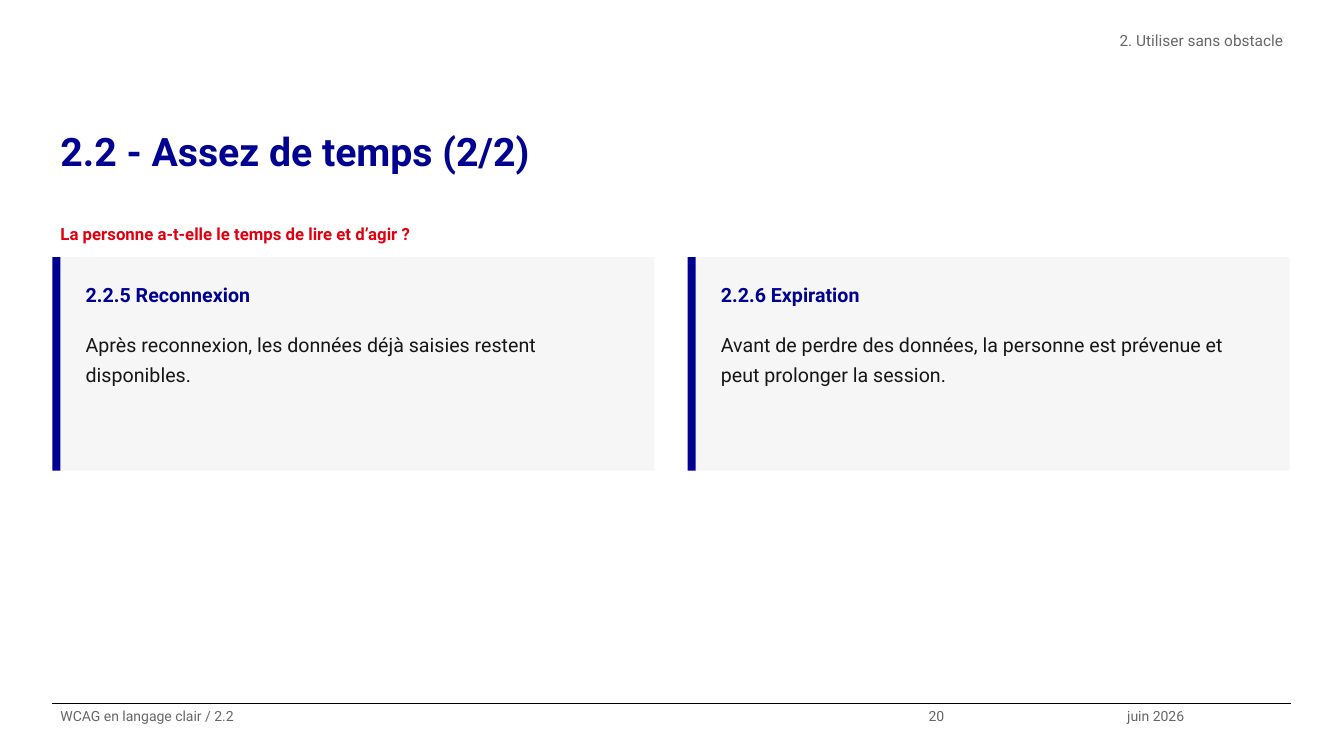
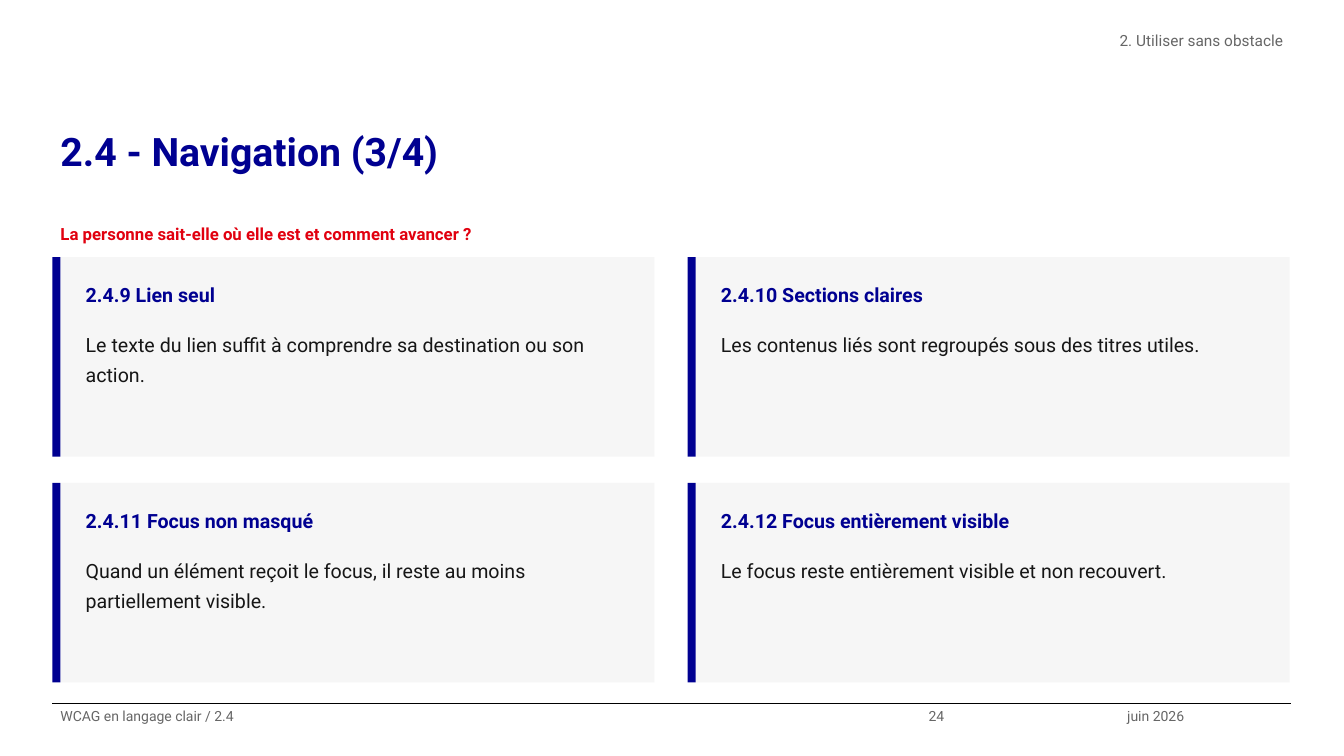
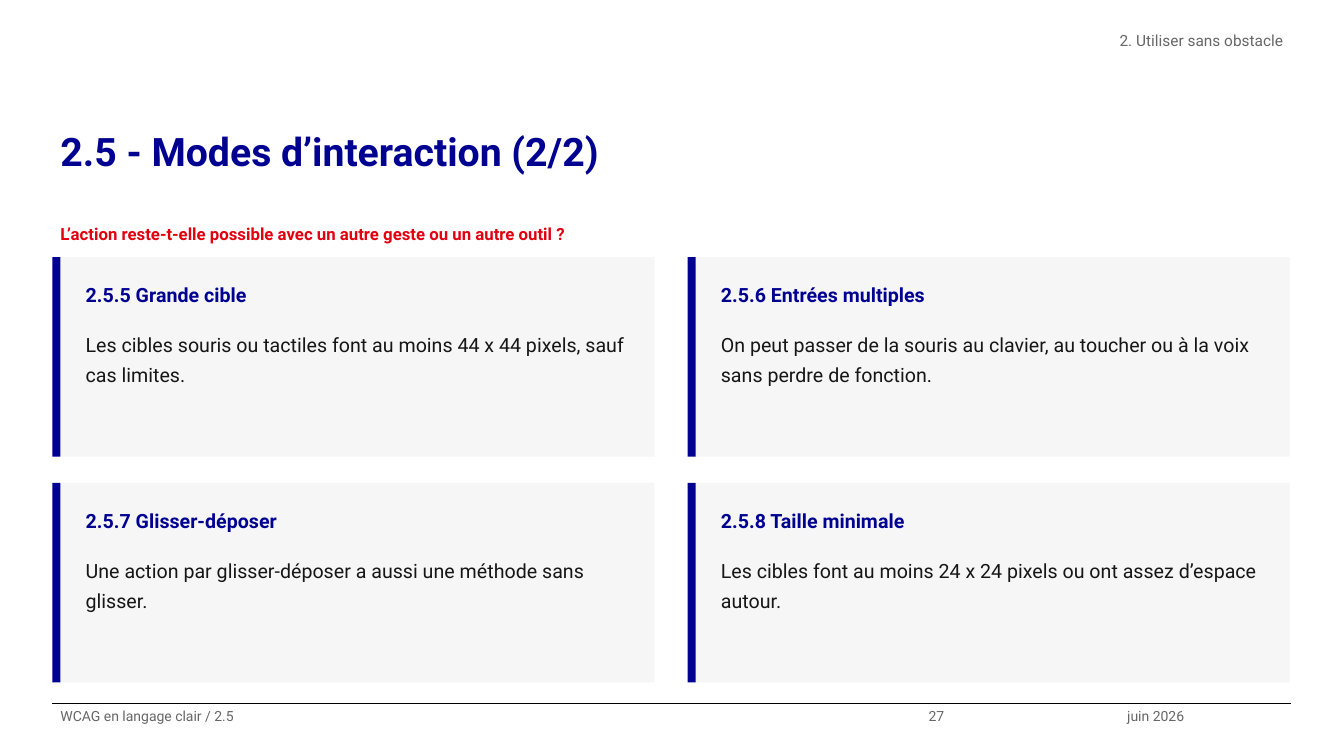
from lxml.etree import SubElement
from pptx import Presentation
from pptx.dml.color import RGBColor
from pptx.enum.shapes import MSO_CONNECTOR, MSO_SHAPE
from pptx.enum.text import MSO_ANCHOR, MSO_AUTO_SIZE, PP_ALIGN
from pptx.oxml.ns import qn
from pptx.util import Inches, Pt

# Shared style
FONT = "Roboto"
BLUE, RED, GREY = "000091", "E1000F", "666666"
INK, PANEL, BLACK = "161616", "F6F6F6", "000000"
LINE_SPACING = 1.25

# Shared grid, in inches
LEFT, WIDTH = 0.52, 12.28
FOOTER_TOP, FOOTER_HEIGHT = 6.98, 0.52
CARD_TOP, CARD_WIDTH, BAR_WIDTH = 2.55, 5.89, 0.08
COLUMN_STEP, ROW_STEP = 6.3, 2.24
CARD_PADDING = 0.15

SECTION = "2. Utiliser sans obstacle"
DATE = "juin 2026"


def color(value):
    return RGBColor.from_string(value)


class Deck:
    """Holds the presentation, its style and the current page."""

    def __init__(self):
        self.deck = Presentation()
        self.deck.slide_width = Inches(13.33)
        self.deck.slide_height = Inches(7.5)
        self.page = None

    def add_page(self, title, number):
        self.page = self.deck.slides.add_slide(self.deck.slide_layouts[5])
        box = self.page.shapes.title
        box.left, box.top = Inches(LEFT), Inches(1.15)
        box.width, box.height = Inches(WIDTH), Inches(1.05)
        self.fill_text(box, title, 28, BLUE, bold=True)
        self.text(SECTION, 4.83, 0.26, 7.98, 0.52, 11, GREY, align=PP_ALIGN.RIGHT)
        self.footer(title.split(" - ")[0], number)

    def fill_text(self, box, text, size, ink, bold=False, align=PP_ALIGN.LEFT, inset=0):
        frame = box.text_frame
        frame.word_wrap = True
        frame.auto_size = MSO_AUTO_SIZE.NONE
        frame.vertical_anchor = MSO_ANCHOR.TOP
        frame.margin_left = frame.margin_right = Inches(0.08)
        frame.margin_top = frame.margin_bottom = Inches(inset)
        frame.text = text
        para = frame.paragraphs[0]
        para.alignment = align
        para.line_spacing = LINE_SPACING
        para.font.name = FONT
        para.font.size = Pt(size)
        para.font.bold = bold
        para.font.color.rgb = color(ink)

    def text(self, text, left, top, width, height, size, ink, **style):
        box = self.page.shapes.add_textbox(
            Inches(left), Inches(top), Inches(width), Inches(height))
        self.fill_text(box, text, size, ink, **style)

    def rectangle(self, left, top, width, height, fill):
        shape = self.page.shapes.add_shape(
            MSO_SHAPE.RECTANGLE,
            Inches(left), Inches(top), Inches(width), Inches(height))
        shape.shadow.inherit = False
        shape.fill.solid()
        shape.fill.fore_color.rgb = color(fill)
        shape.line.fill.background()

    def rule(self, left, top, width):
        line = self.page.shapes.add_connector(
            MSO_CONNECTOR.STRAIGHT,
            Inches(left), Inches(top), Inches(left + width), Inches(top))
        line.line.color.rgb = color(BLACK)
        line.line.width = Pt(0.8)
        SubElement(line._element.spPr, qn("a:effectLst"))

    def footer(self, chapter, number):
        self.rule(LEFT, FOOTER_TOP, WIDTH)
        cells = [(f"WCAG en langage clair / {chapter}", 8.61),
                 (str(number), 1.97), (DATE, 1.71)]
        left = LEFT
        for label, width in cells:
            self.text(label, left, FOOTER_TOP, width, FOOTER_HEIGHT, 10, GREY)
            left += width

    def question(self, text):
        self.text(text, LEFT, 2.12, WIDTH, 0.28, 12, RED, bold=True, inset=0.05)

    def card(self, left, top, height, heading, body):
        panel_left = left + BAR_WIDTH
        self.rectangle(panel_left, top, CARD_WIDTH, height, PANEL)
        self.rectangle(left, top, BAR_WIDTH, height, BLUE)
        text_left, text_width = panel_left + 0.17, CARD_WIDTH - 0.32
        heading_top = top + CARD_PADDING
        body_top = heading_top + 0.5
        body_height = top + height - CARD_PADDING - body_top
        self.text(heading, text_left, heading_top, text_width, 0.45,
                  14, BLUE, bold=True, inset=0.05)
        self.text(body, text_left, body_top, text_width, body_height,
                  14, INK, inset=0.05)

    def cards(self, items):
        # A single row gets slightly taller cards
        height = 2.12 if len(items) <= 2 else 1.98
        for index, (heading, body) in enumerate(items):
            row, column = divmod(index, 2)
            self.card(LEFT + column * COLUMN_STEP, CARD_TOP + row * ROW_STEP,
                      height, heading, body)


# Content: title, page number, question, cards
PAGES = [
    ("2.2 - Assez de temps (2/2)", 20,
     "La personne a-t-elle le temps de lire et d’agir ?", [
         ("2.2.5 Reconnexion",
          "Après reconnexion, les données déjà saisies restent disponibles."),
         ("2.2.6 Expiration",
          "Avant de perdre des données, la personne est prévenue et peut "
          "prolonger la session."),
     ]),
    ("2.4 - Navigation (3/4)", 24,
     "La personne sait-elle où elle est et comment avancer ?", [
         ("2.4.9 Lien seul",
          "Le texte du lien suffit à comprendre sa destination ou son action."),
         ("2.4.10 Sections claires",
          "Les contenus liés sont regroupés sous des titres utiles."),
         ("2.4.11 Focus non masqué",
          "Quand un élément reçoit le focus, il reste au moins "
          "partiellement visible."),
         ("2.4.12 Focus entièrement visible",
          "Le focus reste entièrement visible et non recouvert."),
     ]),
    ("2.5 - Modes d’interaction (2/2)", 27,
     "L’action reste-t-elle possible avec un autre geste ou un autre outil ?", [
         ("2.5.5 Grande cible",
          "Les cibles souris ou tactiles font au moins 44 x 44 pixels, "
          "sauf cas limites."),
         ("2.5.6 Entrées multiples",
          "On peut passer de la souris au clavier, au toucher ou à la voix "
          "sans perdre de fonction."),
         ("2.5.7 Glisser-déposer",
          "Une action par glisser-déposer a aussi une méthode sans glisser."),
         ("2.5.8 Taille minimale",
          "Les cibles font au moins 24 x 24 pixels ou ont assez d’espace "
          "autour."),
     ]),
]


def main():
    deck = Deck()
    for title, number, question, items in PAGES:
        deck.add_page(title, number)
        deck.question(question)
        deck.cards(items)
    deck.deck.save("out.pptx")


if __name__ == "__main__":
    main()
